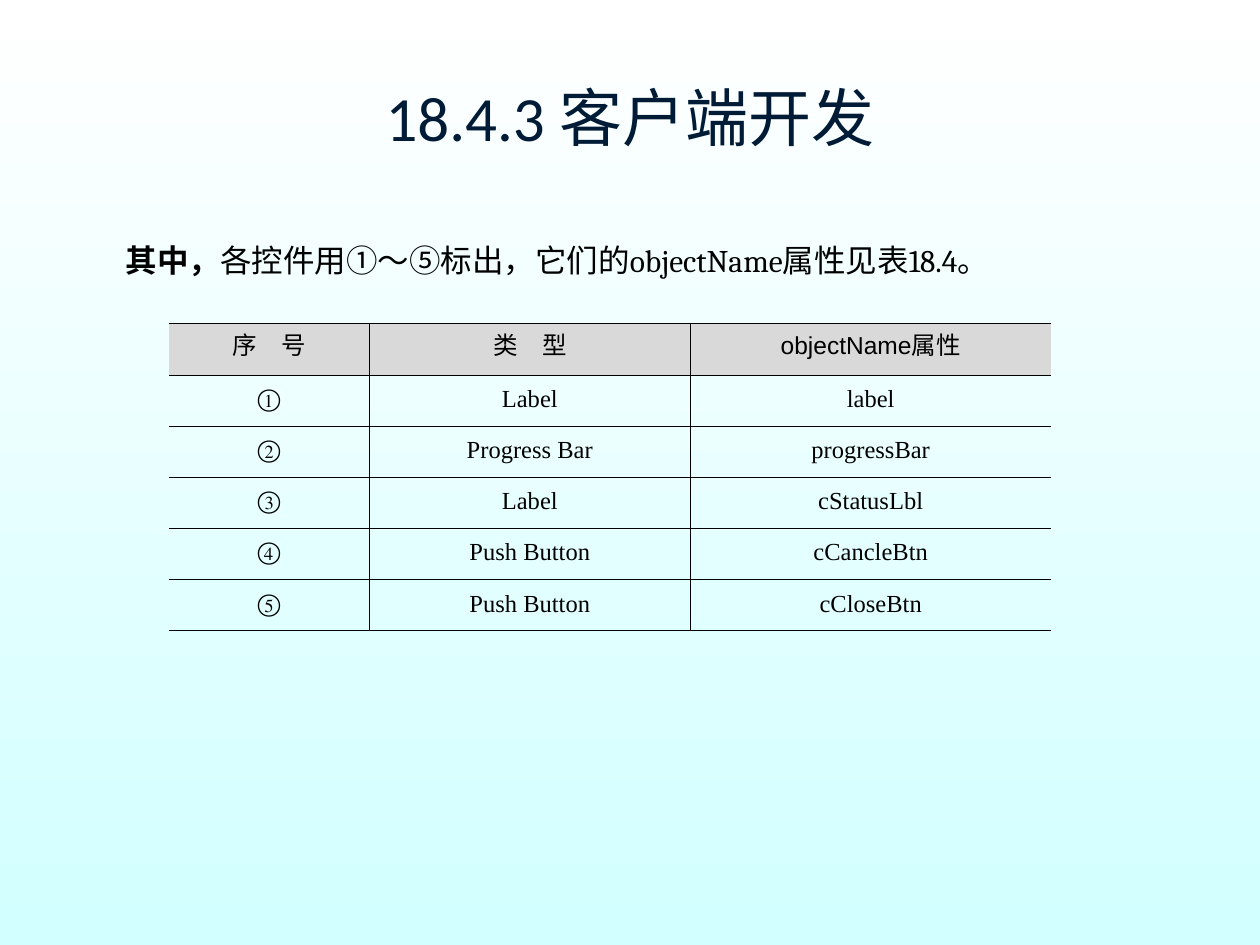
import pptx
import pptx.dml.color
import pptx.enum.text
import pptx.oxml
import pptx.oxml.ns
import pptx.util

Pt = pptx.util.Pt
RGBColor = pptx.dml.color.RGBColor
CENTER = pptx.enum.text.PP_ALIGN.CENTER
MIDDLE = pptx.enum.text.MSO_ANCHOR.MIDDLE

WHITE = RGBColor(0xFF, 0xFF, 0xFF)
PALE_CYAN = RGBColor(0xD2, 0xFF, 0xFF)
NAVY = RGBColor(0x00, 0x1B, 0x36)
BLACK = RGBColor(0x00, 0x00, 0x00)
HEADER_GRAY = RGBColor(0xD9, 0xD9, 0xD9)

BORDER_WIDTH = Pt(0.45)
ROW_HEIGHT = 29.25
COLUMN_WIDTHS = (114.5, 183.6, 206)
CONTROLS = (
    ("序　号", "类　型", "objectName属性"),
    ("①", "Label", "label"),
    ("②", "Progress Bar", "progressBar"),
    ("③", "Label", "cStatusLbl"),
    ("④", "Push Button", "cCancleBtn"),
    ("⑤", "Push Button", "cCloseBtn"),
)


def paint_background(slide):
    """Fill the slide with a top-to-bottom gradient."""
    fill = slide.background.fill
    fill.gradient()
    fill.gradient_angle = 270
    for stop, position, color in zip(fill.gradient_stops, (0, 1), (WHITE, PALE_CYAN)):
        stop.position = position
        stop.color.rgb = color


def format_run(run, font, size, color, bold=False):
    """Apply the typeface, size, colour and weight to a run."""
    run.font.name = font
    run.font.size = Pt(size)
    run.font.color.rgb = color
    run.font.bold = bold


def add_text(slide, left, top, width, height):
    """Add a wrapping text box and return its text frame."""
    frame = slide.shapes.add_textbox(Pt(left), Pt(top), Pt(width), Pt(height)).text_frame
    frame.word_wrap = True
    return frame


def add_title(slide):
    """Add the centred section title."""
    title = add_text(slide, 36, 21.6, 648, 90)
    title.vertical_anchor = MIDDLE
    title.text = "18.4.3 客户端开发"
    heading = title.paragraphs[0]
    heading.alignment = CENTER
    format_run(heading.runs[0], "Calibri", 36, NAVY)


def add_intro(slide):
    """Add the sentence that leads into the table."""
    sentence = add_text(slide, 64.8, 134, 567.4, 50.4).paragraphs[0]
    parts = (("其中，", True), ("各控件用①～⑤标出，它们的objectName属性见表18.4。", False))
    for words, bold in parts:
        run = sentence.add_run()
        run.text = words
        format_run(run, "Cambria", 18, BLACK, bold)


def set_borders(cell, visible_sides):
    """Draw the named sides of a cell and hide the others."""
    properties = cell._tc.get_or_add_tcPr()
    for index, side in enumerate("LRTB"):
        paint = f'<a:solidFill><a:srgbClr val="{BLACK}"/></a:solidFill>'
        if side not in visible_sides:
            paint = "<a:noFill/>"
        border = pptx.oxml.parse_xml(
            f'<a:ln{side} {pptx.oxml.ns.nsdecls("a")} w="{BORDER_WIDTH}">{paint}</a:ln{side}>'
        )
        properties.insert(index, border)


def fill_cell(cell, words, is_header, visible_sides):
    """Write and format one table cell."""
    cell.text = words
    cell.vertical_anchor = MIDDLE
    cell.margin_left = cell.margin_right = Pt(5.4)
    cell.margin_top = cell.margin_bottom = Pt(3.6)
    if is_header:
        cell.fill.solid()
        cell.fill.fore_color.rgb = HEADER_GRAY
    else:
        cell.fill.background()
    set_borders(cell, visible_sides)
    label = cell.text_frame.paragraphs[0]
    label.alignment = CENTER
    label.line_spacing = Pt(14)
    format_run(label.runs[0], "Arial" if is_header else "Times New Roman", 14, BLACK)


def add_control_table(slide):
    """Add the table of controls and their object names."""
    table = slide.shapes.add_table(
        len(CONTROLS), len(COLUMN_WIDTHS), Pt(96.5), Pt(185),
        Pt(sum(COLUMN_WIDTHS)), Pt(ROW_HEIGHT * len(CONTROLS)),
    ).table
    table.first_row = table.horz_banding = False
    for column, width in zip(table.columns, COLUMN_WIDTHS):
        column.width = Pt(width)
    for row_index, control in enumerate(CONTROLS):
        table.rows[row_index].height = Pt(ROW_HEIGHT)
        for column_index, (words, sides) in enumerate(zip(control, ("RTB", "LRTB", "LTB"))):
            fill_cell(table.cell(row_index, column_index), words, row_index == 0, sides)


def main():
    """Build the slide and save it."""
    presentation = pptx.Presentation()
    presentation.slide_width = Pt(720)
    presentation.slide_height = Pt(540)
    slide = presentation.slides.add_slide(presentation.slide_layouts[6])
    paint_background(slide)
    add_title(slide)
    add_intro(slide)
    add_control_table(slide)
    presentation.save("out.pptx")


if __name__ == "__main__":
    main()
